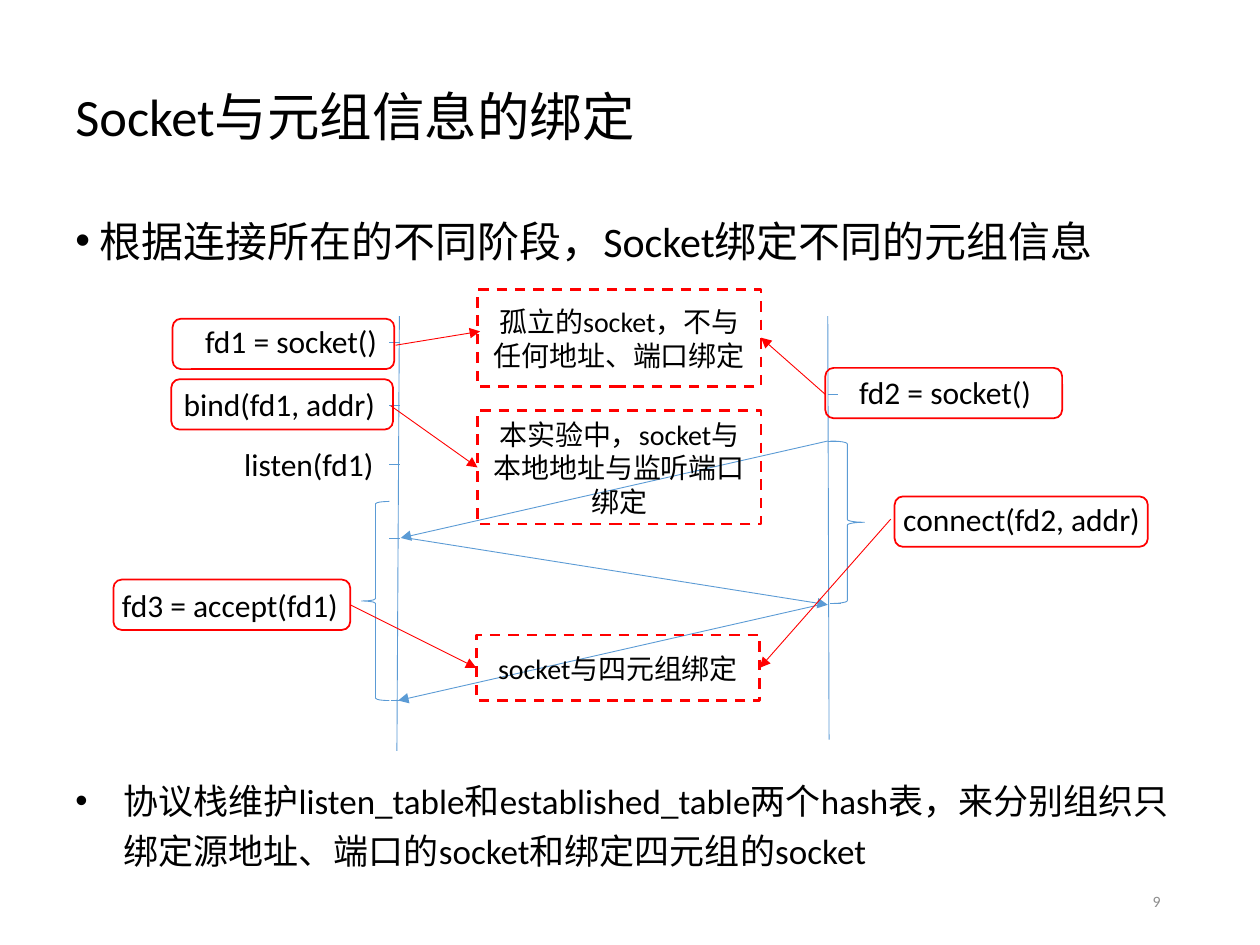
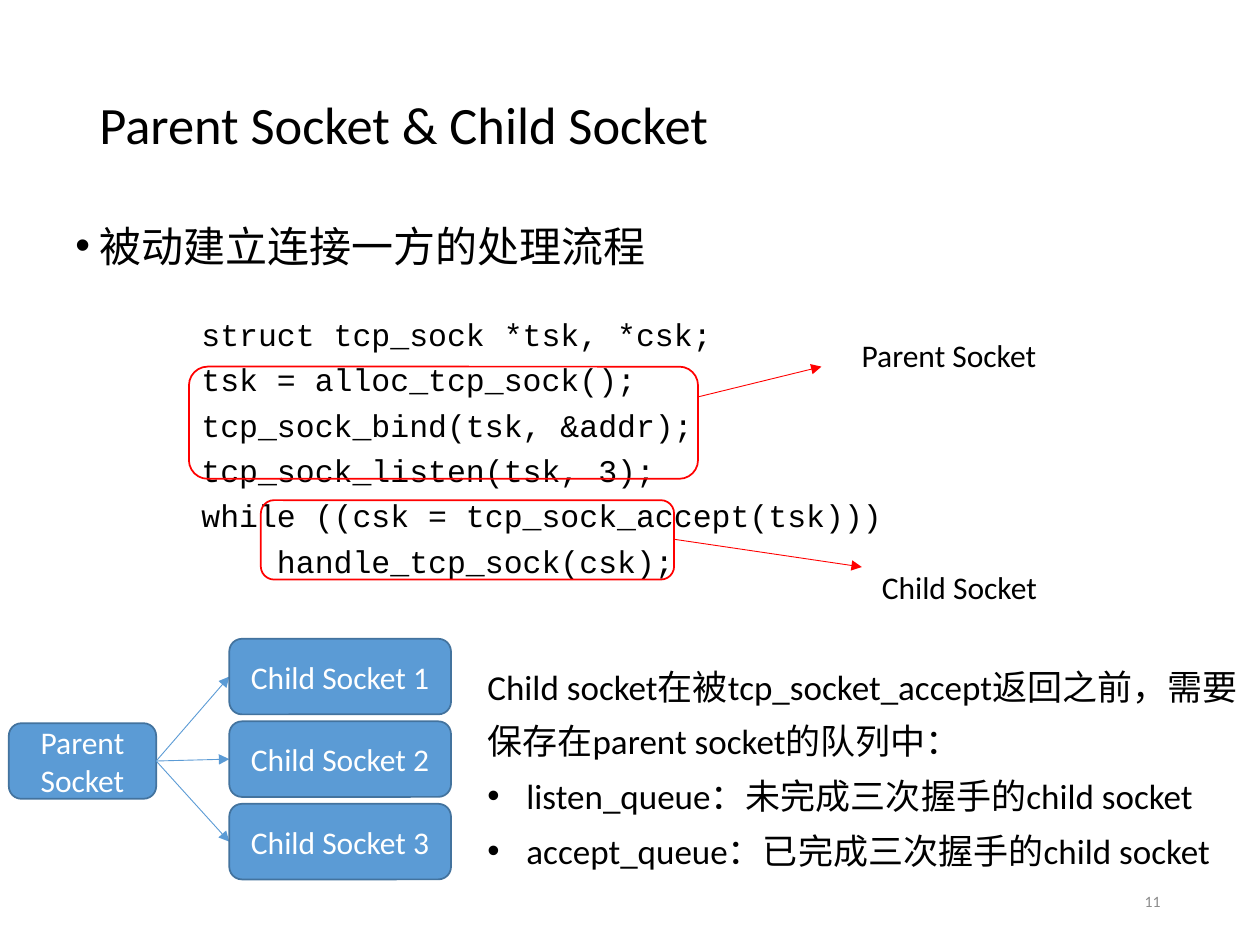
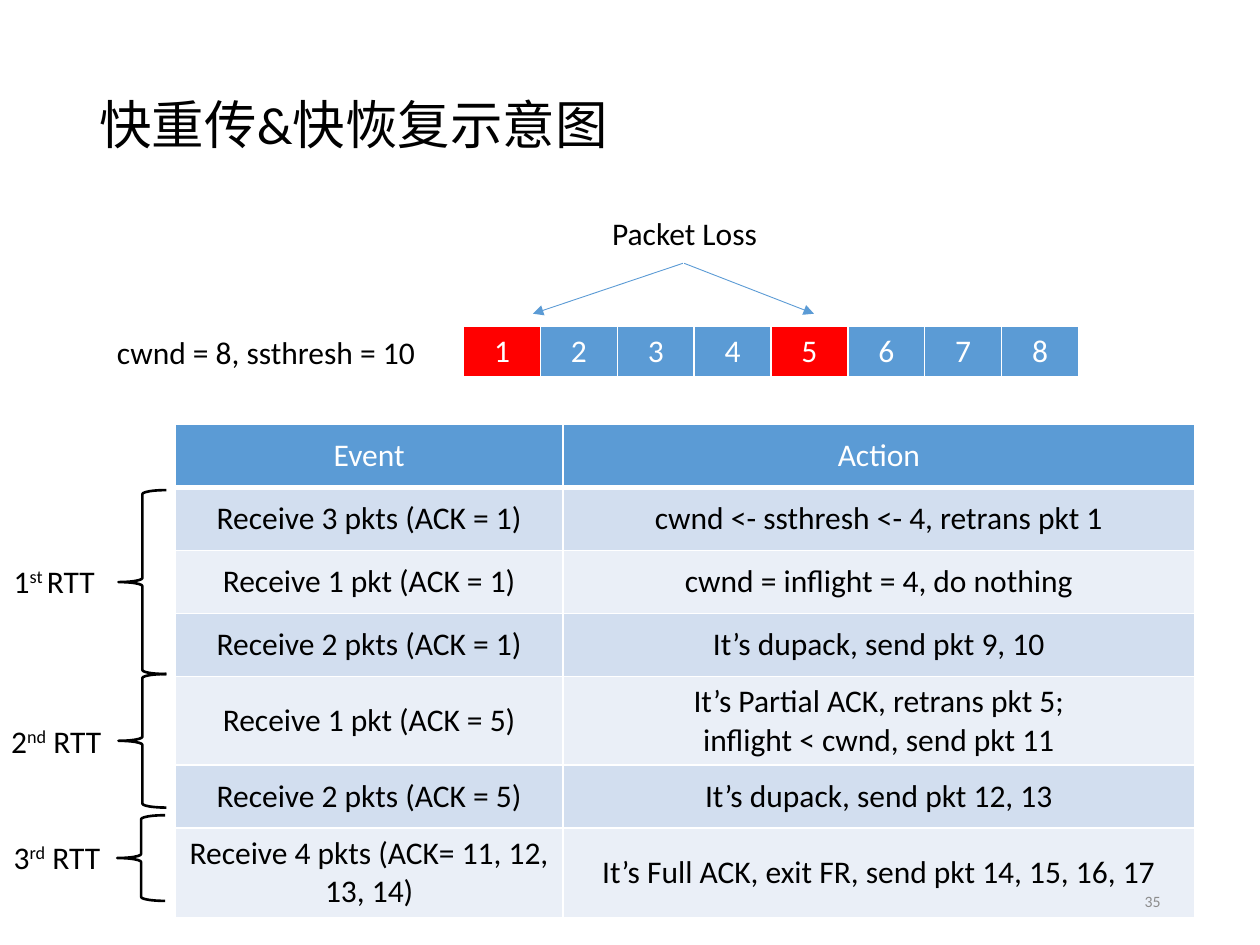
import dataclasses

import lxml.etree
import pptx
import pptx.dml.color
import pptx.enum.dml
import pptx.enum.shapes
import pptx.enum.text
import pptx.oxml.ns
import pptx.util

SHAPE = pptx.enum.shapes.MSO_SHAPE
ALIGN = pptx.enum.text.PP_ALIGN
ANCHOR = pptx.enum.text.MSO_ANCHOR


@dataclasses.dataclass(frozen=True)
class Theme:
    font: str = "Calibri"
    code_font: str = "Courier New"
    ink: str = "000000"
    paper: str = "FFFFFF"
    blue: str = "5B9BD5"
    blue_edge: str = "43739E"
    red: str = "FF0000"
    grey: str = "8C8C8C"
    bands: tuple = ("D2DEEF", "EAEFF7")
    title: int = 30
    lead: int = 24
    body: int = 20
    label: int = 18
    note: int = 16
    number: int = 9
    thin: float = 0.5
    medium: float = 1
    thick: float = 1.5


THEME = Theme()
COLUMNS, ROWS = 100, 75  # grid of tenths of an inch
CELL = pptx.util.Inches(0.1)


# Basic helpers

def grid(*values):
    return [round(value * CELL) for value in values]


def rgb(color):
    return pptx.dml.color.RGBColor.from_string(color)


def add_xml(parent, tag, **attributes):
    return lxml.etree.SubElement(parent, pptx.oxml.ns.qn(tag), attributes)


def style_run(run, size, color=THEME.ink, font=THEME.font):
    run.font.size = pptx.util.Pt(size)
    run.font.name = font
    run.font.bold = False
    run.font.color.rgb = rgb(color)


def style_paragraphs(text_frame, size, color=THEME.ink, font=THEME.font,
                     align=ALIGN.LEFT, spacing=None):
    for paragraph in text_frame.paragraphs:
        paragraph.alignment = align
        if spacing:
            paragraph.line_spacing = spacing
        for run in paragraph.runs:
            style_run(run, size, color, font)


def indent(paragraph, left, bullet=True):
    properties = paragraph._p.get_or_add_pPr()
    properties.set("marL", str(grid(left)[0]))
    if bullet:
        properties.set("indent", str(-grid(left)[0]))
        add_xml(properties, "a:buFont", typeface="Arial")
        add_xml(properties, "a:buChar", char="•")


def set_line(line, color, width, dashed=False):
    line.color.rgb = rgb(color)
    line.width = pptx.util.Pt(width)
    if dashed:
        line.dash_style = pptx.enum.dml.MSO_LINE.DASH


# Kinds of element

def add_text(slide, place, text, size=THEME.label, wrap=False, grow=True,
             anchor=ANCHOR.TOP, **style):
    text_frame = slide.shapes.add_textbox(*grid(*place)).text_frame
    text_frame.text = text
    text_frame.word_wrap = wrap
    text_frame.vertical_anchor = anchor
    if grow:
        text_frame.auto_size = pptx.enum.text.MSO_AUTO_SIZE.SHAPE_TO_FIT_TEXT
    style_paragraphs(text_frame, size, **style)
    return text_frame


def add_title(slide, text, place=(6.9, 4, 86.2, 12.3)):
    add_text(slide, place, text, THEME.title, wrap=True, grow=False,
             anchor=ANCHOR.MIDDLE, spacing=0.9)


def add_lead(slide, text, height, spacing):
    text_frame = add_text(slide, (5, 15.8, 90, height), text, THEME.lead,
                          wrap=True, grow=False, spacing=spacing)
    paragraph = text_frame.paragraphs[0]
    paragraph.space_before = pptx.util.Pt(7.5)
    indent(paragraph, 1.9)


def add_number(slide, number):
    add_text(slide, (70.6, 69.5, 22.5, 4), str(number), THEME.number, wrap=True,
             grow=False, anchor=ANCHOR.MIDDLE, color=THEME.grey, align=ALIGN.RIGHT)


def add_shape(slide, kind, place, color, width, fill=None, dashed=False):
    shape = slide.shapes.add_shape(kind, *grid(*place))
    shape.shadow.inherit = False
    if fill:
        shape.fill.solid()
        shape.fill.fore_color.rgb = rgb(fill)
    else:
        shape.fill.background()
    set_line(shape.line, color, width, dashed)
    return shape


def add_box_text(shape, text, size, color):
    text_frame = shape.text_frame
    text_frame.text = text
    text_frame.word_wrap = True
    text_frame.vertical_anchor = ANCHOR.MIDDLE
    style_paragraphs(text_frame, size, color, align=ALIGN.CENTER)


def add_frame(slide, place):
    add_shape(slide, SHAPE.ROUNDED_RECTANGLE, place, THEME.red, THEME.medium)


def add_note(slide, place, text):
    shape = add_shape(slide, SHAPE.RECTANGLE, place, THEME.red, THEME.thick, dashed=True)
    add_box_text(shape, text, THEME.note, THEME.ink)


def add_node(slide, place, text):
    shape = add_shape(slide, SHAPE.ROUNDED_RECTANGLE, place, THEME.blue_edge,
                      THEME.medium, fill=THEME.blue)
    add_box_text(shape, text, THEME.label, THEME.paper)


def add_line(slide, start, end, color=THEME.blue, arrow=True):
    connector = slide.shapes.add_connector(
        pptx.enum.shapes.MSO_CONNECTOR.STRAIGHT, *grid(*start, *end))
    set_line(connector.line, color, THEME.thin)
    if arrow:
        add_xml(connector.line._get_or_add_ln(), "a:tailEnd", type="triangle")
    add_xml(connector._element.spPr, "a:effectLst")


def style_cell(cell, fill, color, anchor, bottom):
    cell.fill.solid()
    cell.fill.fore_color.rgb = rgb(fill)
    cell.vertical_anchor = anchor
    style_paragraphs(cell.text_frame, THEME.label, color, align=ALIGN.CENTER)
    properties = cell._tc.get_or_add_tcPr()
    widths = {"a:lnL": 1, "a:lnR": 1, "a:lnT": 1, "a:lnB": bottom}
    for position, (tag, width) in enumerate(widths.items()):
        border = add_xml(properties, tag, w=str(pptx.util.Pt(width)))
        add_xml(add_xml(border, "a:solidFill"), "a:srgbClr", val=THEME.paper)
        properties.insert(position, border)


def add_table(slide, place, rows, widths, heights, fill_of, anchor):
    table = slide.shapes.add_table(len(rows), len(widths), *grid(*place)).table
    table.horz_banding = False
    for column, width in zip(table.columns, grid(*widths)):
        column.width = width
    for row, height in zip(table.rows, grid(*heights)):
        row.height = height
    for row, texts in enumerate(rows):
        for column, text in enumerate(texts):
            cell = table.cell(row, column)
            cell.text = text
            style_cell(cell, fill_of(row, column), THEME.ink if row else THEME.paper,
                       anchor, 1 if row else 3)


# Slides

def build_binding(slide):
    add_title(slide, "Socket与元组信息的绑定", (5, 5, 90, 8.9))
    add_lead(slide, "根据连接所在的不同阶段，Socket绑定不同的元组信息", 6, 1.2)

    # Lifelines of both sides, with a tick for each call
    add_line(slide, (31.7, 25.1), (31.5, 59.6), arrow=False)
    add_line(slide, (65.7, 25.1), (65.8, 58.7), arrow=False)
    ticks = [(30.9, 27.2), (30.9, 32.2), (30.9, 36.9), (30.9, 42.7), (31, 55.6),
             (65.7, 31.3), (65.7, 35), (65.9, 47.9)]
    for left, top in ticks:
        add_line(slide, (left, top), (left + 0.85, top), arrow=False)

    # Calls
    calls = [("fd1 = socket()", (15.3, 25.1, 15.8, 4)),
             ("bind(fd1, addr)", (13.6, 30.1, 17.4, 4)),
             ("listen(fd1)", (18.4, 34.8, 12.4, 4)),
             ("fd3 = accept(fd1)", (8.7, 46, 19.4, 4)),
             ("fd2 = socket()", (67.2, 29.1, 15.8, 4)),
             ("connect(fd2, addr)", (70.7, 39.2, 21.1, 4))]
    for text, place in calls:
        add_text(slide, place, text)

    # Three-way handshake
    add_line(slide, (65.7, 35), (31.8, 42.7))
    add_line(slide, (32.3, 42.7), (65.7, 48))
    add_line(slide, (65.5, 47.9), (31.6, 55.6))
    for kind, place in [(SHAPE.LEFT_BRACE, (28.7, 39.8, 2.2, 15.8)),
                        (SHAPE.RIGHT_BRACE, (65.9, 35, 2.7, 12.9))]:
        add_shape(slide, kind, place, THEME.blue, THEME.thin)

    text_frame = add_text(
        slide, (5, 60.7, 90, 8.8),
        "协议栈维护listen_table和established_table两个hash表，"
        "来分别组织只绑定源地址、端口的socket和绑定四元组的socket",
        THEME.body, wrap=True, spacing=1.2)
    indent(text_frame.paragraphs[0], 3.8)

    # Red frames around calls, and what each call binds
    for left, top, width in [(13.7, 25.3, 17.6), (65.5, 29.2, 18.8), (13.6, 30.1, 17.6),
                             (9, 46, 18.8), (71, 39.4, 20.1)]:
        add_frame(slide, (left, top, width, 4))
    add_note(slide, (37.9, 23, 22.5, 7.7), "孤立的socket，不与任何地址、端口绑定")
    add_note(slide, (37.9, 32.6, 22.5, 9), "本实验中，socket与本地地址与监听端口绑定")
    add_note(slide, (37.8, 50.4, 22.5, 5.2), "socket与四元组绑定")
    for start, end in [((31.4, 27.4), (38.1, 26.3)), ((65.5, 31.3), (60.4, 26.8)),
                       ((31, 32.2), (37.9, 37.1)), ((27.8, 48), (37.8, 53)),
                       ((70.7, 41.2), (60.3, 53))]:
        add_line(slide, start, end, THEME.red)
    add_number(slide, 9)


def build_parent_child(slide):
    add_title(slide, "Parent Socket & Child Socket")

    # Code and its marked parts
    code = ["struct tcp_sock *tsk, *csk;", "tsk = alloc_tcp_sock();",
            "tcp_sock_bind(tsk, &addr);", "tcp_sock_listen(tsk, 3);",
            "while ((csk = tcp_sock_accept(tsk)))", "handle_tcp_sock(csk);"]
    text_frame = add_text(slide, (15, 23.9, 56.3, 22.7), "\n".join(code),
                          font=THEME.code_font, spacing=1.2)
    indent(text_frame.paragraphs[-1], 6, bullet=False)
    add_lead(slide, "被动建立连接一方的处理流程", 7.4, 1.3)
    add_frame(slide, (15, 29.1, 40.4, 8.9))
    add_line(slide, (55.4, 31.5), (65.2, 29.1), THEME.red)
    add_text(slide, (67.4, 26.2, 16, 4), "Parent Socket")
    add_frame(slide, (20.7, 39.7, 32.8, 6.3))
    add_line(slide, (53.5, 42.8), (68.4, 45), THEME.red)
    add_text(slide, (69, 44.6, 14.5, 4), "Child Socket")

    # Tree of sockets
    add_node(slide, (0.7, 57.4, 11.7, 6), "Parent Socket")
    for index in range(3):
        top = 50.7 + 6.55 * index
        add_line(slide, (12.4, 60.4), (18.2, top + 3))
        add_node(slide, (18.2, top, 17.6, 6), f"Child Socket {index + 1}")

    # Queues
    queues = ["Child socket在被tcp_socket_accept返回之前，需要保存在parent socket的队列中：",
              "listen_queue：未完成三次握手的child socket",
              "accept_queue：已完成三次握手的child socket"]
    text_frame = add_text(slide, (37.7, 51.3, 62.3, 18.1), "\n".join(queues),
                          THEME.body, wrap=True, spacing=1.3)
    for paragraph in text_frame.paragraphs[1:]:
        indent(paragraph, 3.1)
    add_number(slide, 11)


def add_round(slide, place, parts):
    """Label such as 1st RTT, with its middle part raised."""
    text_frame = add_text(slide, place, "")
    for index, part in enumerate(parts):
        run = text_frame.paragraphs[0].add_run()
        run.text = part
        style_run(run, THEME.label)
        if index == 1:
            run._r.get_or_add_rPr().set("baseline", "30000")


def build_recovery(slide):
    add_title(slide, "快重传&快恢复示意图")

    # Packets in flight, lost ones in red
    packets = [[str(number) for number in range(1, 9)]]
    add_table(slide, (36.8, 25.9, 48.8, 4.1), packets, [6.1] * 8, [4.1],
              lambda row, column: THEME.red if column in (0, 4) else THEME.blue,
              ANCHOR.TOP)
    add_line(slide, (54.2, 20.9), (42.3, 24.9))
    add_line(slide, (54.3, 20.9), (64.6, 24.9))
    add_text(slide, (47.6, 16.5, 13.6, 4), "Packet Loss")
    add_text(slide, (8.3, 25.9, 26.1, 4), "cwnd = 8, ssthresh = 10", wrap=True)

    # Events and actions
    steps = [("Event", "Action"),
             ("Receive 3 pkts (ACK = 1)", "cwnd <- ssthresh <- 4, retrans pkt 1"),
             ("Receive 1 pkt (ACK = 1)", "cwnd = inflight = 4, do nothing"),
             ("Receive 2 pkts (ACK = 1)", "It’s dupack, send pkt 9, 10"),
             ("Receive 1 pkt (ACK = 5)",
              "It’s Partial ACK, retrans pkt 5;\ninflight < cwnd, send pkt 11"),
             ("Receive 2 pkts (ACK = 5)", "It’s dupack, send pkt 12, 13"),
             ("Receive 4 pkts (ACK= 11, 12, 13, 14)",
              "It’s Full ACK, exit FR, send pkt 14, 15, 16, 17")]
    add_table(slide, (13.9, 33.7, 80.9, 37.8), steps, [30.8, 50.1], [5] * 6 + [7.1],
              lambda row, column: THEME.bands[(row - 1) % 2] if row else THEME.blue,
              ANCHOR.MIDDLE)

    # Round trips
    for left, top, height in [(9.4, 38.9, 14.6), (9.4, 53.5, 10.6), (9.3, 64.7, 6.8)]:
        add_shape(slide, SHAPE.LEFT_BRACE, (left, top, 3.8, height),
                  THEME.ink, THEME.thick)
    add_round(slide, (0.1, 44.1, 8.9, 4), ("1", "st ", "RTT"))
    add_round(slide, (-0.1, 56.8, 9.5, 4), ("2", "nd", " RTT"))
    add_round(slide, (0.1, 66, 9.1, 4), ("3", "rd", " RTT"))
    add_number(slide, 35)


def main():
    presentation = pptx.Presentation()
    presentation.slide_width, presentation.slide_height = grid(COLUMNS, ROWS)
    for build in (build_binding, build_parent_child, build_recovery):
        build(presentation.slides.add_slide(presentation.slide_layouts[6]))
    presentation.save("out.pptx")


main()
